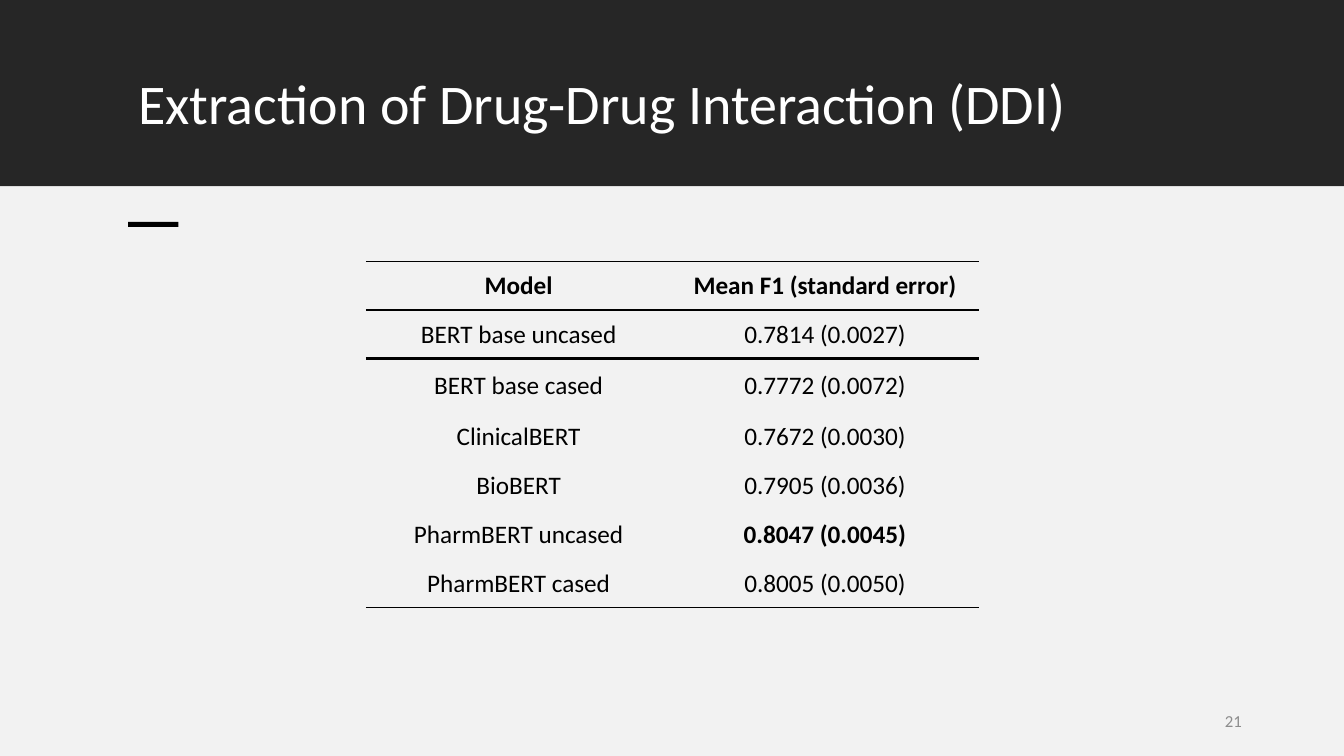
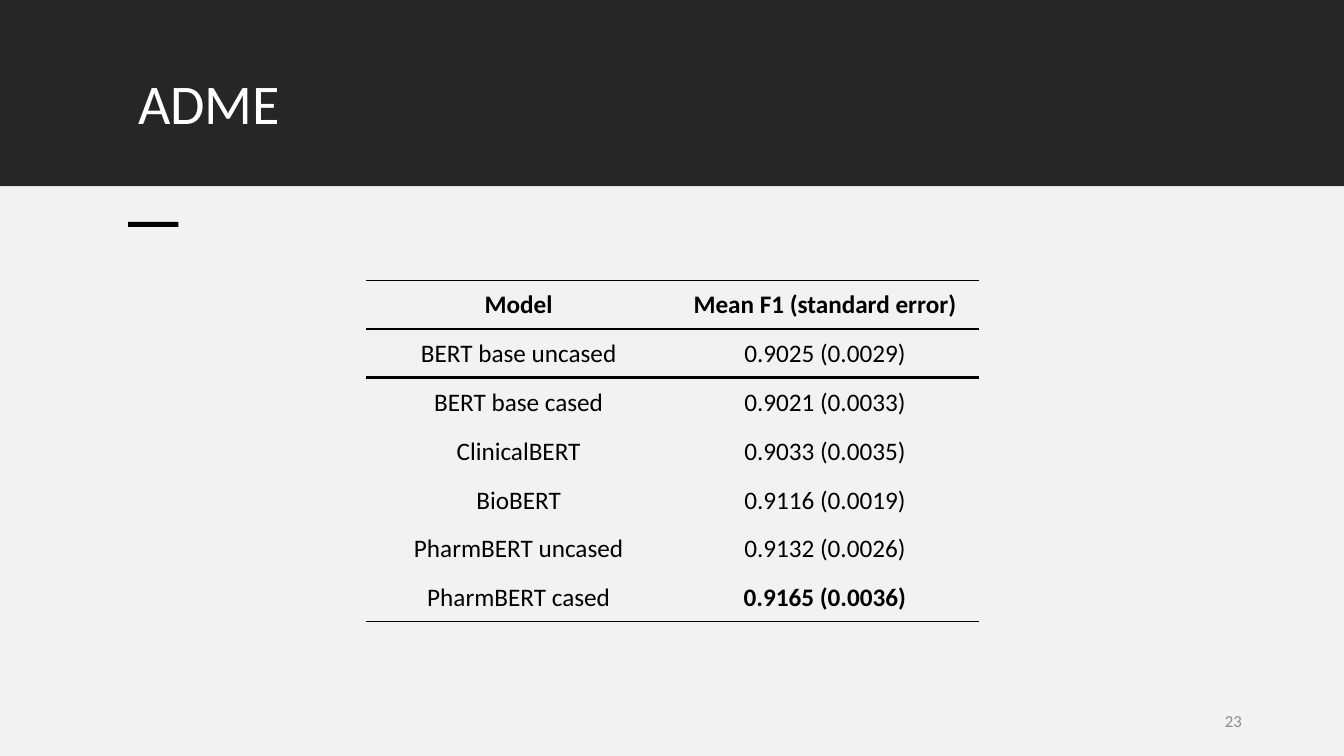
import pptx
import pptx.dml.color
import pptx.enum.shapes
import pptx.enum.text
import pptx.oxml
import pptx.oxml.ns
import pptx.util

Cm, Pt = pptx.util.Cm, pptx.util.Pt
ANCHOR, ALIGN = pptx.enum.text.MSO_ANCHOR, pptx.enum.text.PP_ALIGN

WIDTH, HEIGHT, BAND = 33.87, 19.05, 4.7
COLORS = {"band": "262626", "page": "F2F2F2", "ink": "000000",
          "title": "FFFFFF", "number": "8C8C8C"}
FONT = "Calibri"
PLAIN_TABLE = "{2D5ABB26-0587-4C30-8999-92F81FD0307C}"
HEADER = ("Model", "Mean F1 (standard error)")
MODELS = ("BERT base uncased", "BERT base cased", "ClinicalBERT",
          "BioBERT", "PharmBERT uncased", "PharmBERT cased")
COLUMNS = (7.7, 7.74)
ROW = 1.23
TABLE_LEFT = 9.22
SLIDES = [
    {"title": "Extraction of Drug-Drug Interaction (DDI)", "number": 21,
     "top": 6.58, "tall": {2: 1.34}, "best": 5,
     "scores": ("0.7814 (0.0027)", "0.7772 (0.0072)", "0.7672 (0.0030)",
                "0.7905 (0.0036)", "0.8047 (0.0045)", "0.8005 (0.0050)")},
    {"title": "ADME", "number": 23, "top": 7.06, "tall": {}, "best": 6,
     "scores": ("0.9025 (0.0029)", "0.9021 (0.0033)", "0.9033 (0.0035)",
                "0.9116 (0.0019)", "0.9132 (0.0026)", "0.9165 (0.0036)")},
]


def rgb(name):
    """Return the named colour."""
    return pptx.dml.color.RGBColor.from_string(COLORS[name])


def set_font(p, size, color, bold=False):
    """Format a whole paragraph."""
    p.font.name, p.font.size, p.font.bold = FONT, Pt(size), bold
    p.font.color.rgb = rgb(color)


def add_block(s, box, color):
    """Add a plain filled rectangle."""
    sp = s.shapes.add_shape(pptx.enum.shapes.MSO_SHAPE.RECTANGLE, *map(Cm, box))
    sp.shadow.inherit = False
    sp.fill.solid()
    sp.fill.fore_color.rgb = rgb(color)
    sp.line.fill.background()


def add_title(s, box, text):
    """Fill the title placeholder and lift it above the band."""
    sp = s.shapes.title
    sp.left, sp.top, sp.width, sp.height = map(Cm, box)
    sp.element.getparent().append(sp.element)
    tf = sp.text_frame
    tf.text = text
    tf.auto_size = pptx.enum.text.MSO_AUTO_SIZE.NONE
    tf.vertical_anchor = ANCHOR.TOP
    p = tf.paragraphs[0]
    p.alignment, p.line_spacing = ALIGN.LEFT, 0.9
    set_font(p, 40, "title")


def add_number(s, box, number):
    """Add the page number."""
    tf = s.shapes.add_textbox(*map(Cm, box)).text_frame
    tf.word_wrap = True
    tf.vertical_anchor = ANCHOR.MIDDLE
    p = tf.paragraphs[0]
    p.text, p.alignment = str(number), ALIGN.RIGHT
    set_font(p, 12, "number")


def add_rule(cell, side, width):
    """Draw the top (T) or bottom (B) border of a cell."""
    ln = pptx.oxml.parse_xml(
        f'<a:ln{side} {pptx.oxml.ns.nsdecls("a")} w="{Pt(width)}"><a:solidFill>'
        f'<a:srgbClr val="{COLORS["ink"]}"/></a:solidFill></a:ln{side}>')
    cell._tc.get_or_add_tcPr().insert(0, ln)


def fill_cell(cell, text, bold):
    """Write one centred table cell."""
    cell.fill.background()
    cell.vertical_anchor = ANCHOR.MIDDLE
    cell.margin_left = cell.margin_right = Cm(0.43)
    cell.margin_top, cell.margin_bottom = Cm(0.05), Cm(0)
    p = cell.text_frame.paragraphs[0]
    p.text, p.alignment, p.line_spacing = text, ALIGN.CENTER, 0.9
    set_font(p, 18, "ink", bold)


def add_scores(s, left, top, scores, best, tall):
    """Add the table of model scores, with the best one in bold."""
    rows = [HEADER, *zip(MODELS, scores)]
    heights = [tall.get(i, ROW) for i in range(len(rows))]
    frame = s.shapes.add_table(len(rows), len(COLUMNS), Cm(left), Cm(top),
                               Cm(sum(COLUMNS)), Cm(sum(heights)))
    table = frame.table
    table.horz_banding = False
    frame.element.find(".//" + pptx.oxml.ns.qn("a:tableStyleId")).text = PLAIN_TABLE
    for column, width in zip(table.columns, COLUMNS):
        column.width = Cm(width)
    for i, row in enumerate(rows):
        table.rows[i].height = Cm(heights[i])
        for j, text in enumerate(row):
            fill_cell(table.cell(i, j), text, i == 0 or (i, j) == (best, 1))
    for j in range(len(COLUMNS)):
        add_rule(table.cell(0, j), "B", 2.25)
        add_rule(table.cell(0, j), "T", 1)
        add_rule(table.cell(1, j), "T", 2.25)
        add_rule(table.cell(len(rows) - 1, j), "B", 1)


def add_score_slide(prs, title, number, top, scores, best, tall):
    """Add a slide with a title band and a table of scores."""
    s = prs.slides.add_slide(prs.slide_layouts[5])
    add_block(s, (0, 0, WIDTH, BAND), "band")
    add_block(s, (0, BAND, WIDTH, HEIGHT - BAND), "page")
    add_block(s, (3.23, BAND + 0.89, 1.27, 0.13), "ink")
    add_title(s, (3.23, 1.78, 27.46, 2.49), title)
    add_scores(s, TABLE_LEFT, top, scores, best, tall)
    add_number(s, (23.93, 17.65, 7.62, 1.02), number)


def main():
    """Build and save the presentation."""
    prs = pptx.Presentation()
    prs.slide_width, prs.slide_height = Cm(WIDTH), Cm(HEIGHT)
    for content in SLIDES:
        add_score_slide(prs, **content)
    prs.save("out.pptx")


if __name__ == "__main__":
    main()
